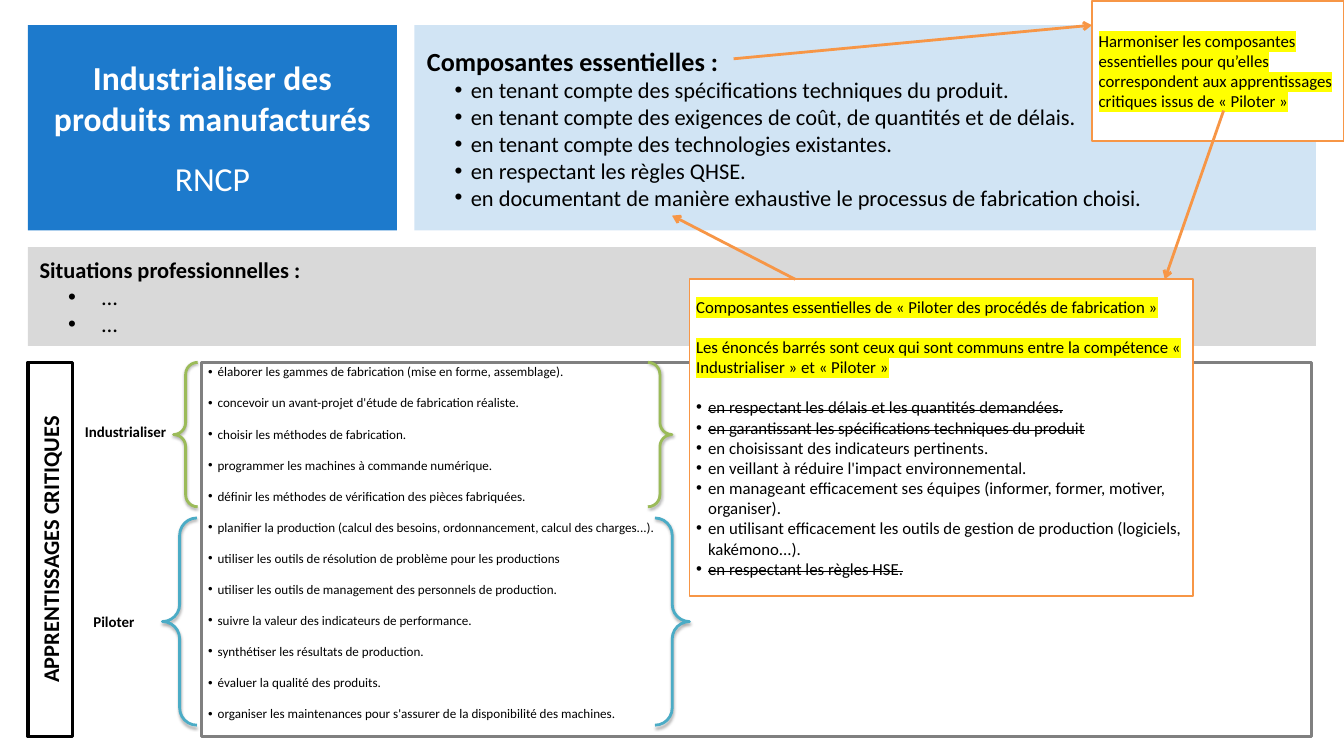
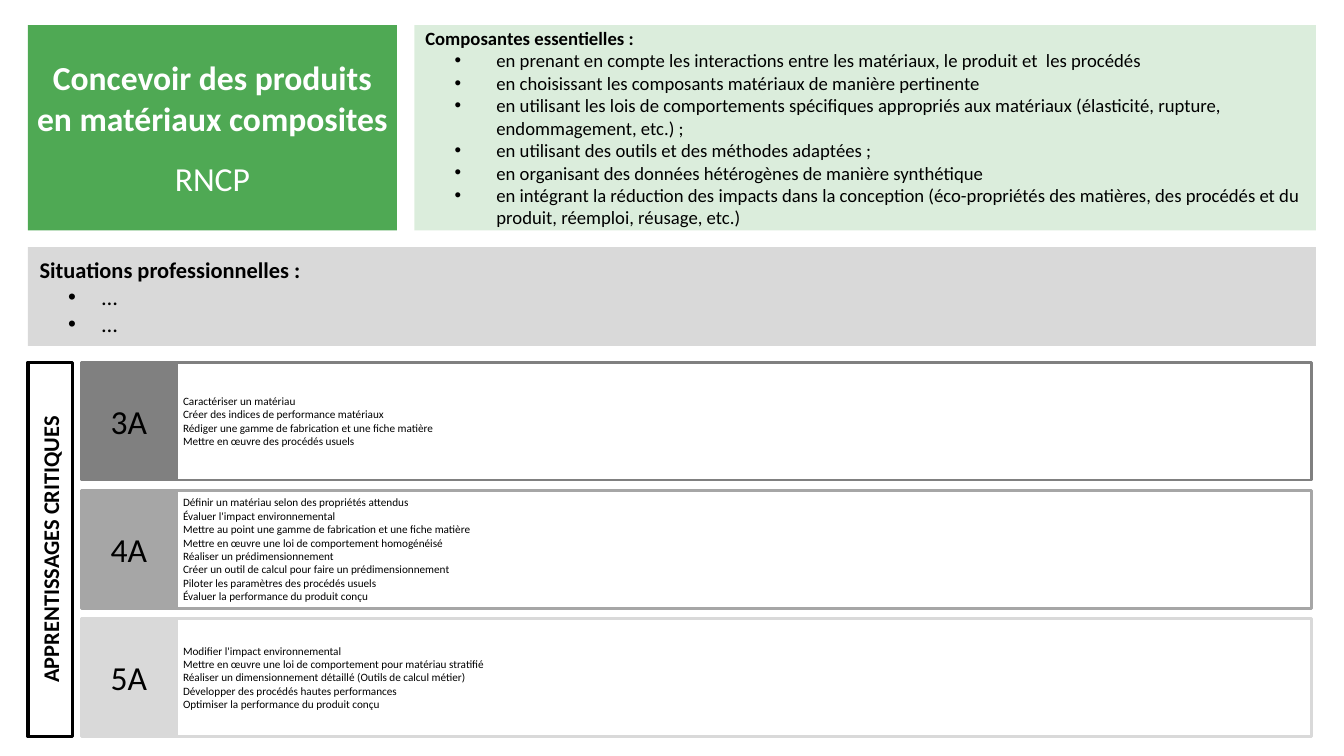
from dataclasses import dataclass, replace

from lxml import etree
from pptx import Presentation
from pptx.dml.color import RGBColor
from pptx.enum.shapes import MSO_CONNECTOR, MSO_SHAPE
from pptx.enum.text import MSO_ANCHOR, MSO_AUTO_SIZE, PP_ALIGN
from pptx.oxml.ns import qn
from pptx.util import Inches, Pt

RECTANGLE, BRACES = MSO_SHAPE.RECTANGLE, MSO_SHAPE.DOUBLE_BRACE
STRAIGHT = MSO_CONNECTOR.STRAIGHT
LEFT, CENTER = PP_ALIGN.LEFT, PP_ALIGN.CENTER
MIDDLE, TOP = MSO_ANCHOR.MIDDLE, MSO_ANCHOR.TOP
NO_AUTOFIT, GROW = MSO_AUTO_SIZE.NONE, MSO_AUTO_SIZE.SHAPE_TO_FIT_TEXT

FONT = "Calibri"
BLACK, WHITE, YELLOW, ORANGE = "000000", "FFFFFF", "FFFF00", "F79646"
BLUE, GREEN = "1D7ACC", "4FA954"
BRACE_GREEN, BRACE_BLUE = "9BBB59", "4BACC6"
DARK_GRAY, MID_GRAY, LIGHT_GRAY = "808080", "A6A6A6", "D9D9D9"

# The slide is a grid of 480 columns by 270 rows.
COLUMNS, ROWS = 480, 270
SLIDE_WIDTH, SLIDE_HEIGHT = Inches(20), Inches(11.25)
CELL = SLIDE_WIDTH // COLUMNS


@dataclass(frozen=True)
class Box:
    """A rectangle in grid cells."""
    left: float
    top: float
    width: float
    height: float

    def lengths(self) -> list[int]:
        return [round(cells * CELL) for cells in (self.left, self.top, self.width, self.height)]


@dataclass(frozen=True)
class Line:
    """A paragraph; margin and hang are in inches, sizes and gaps in points."""
    text: str
    size: float
    bold: bool = False
    color: str = BLACK
    align: PP_ALIGN = LEFT
    margin: float = 0
    hang: float = 0
    gap: float = 0
    spacing: float = 1.0
    highlight: bool = False
    strike: bool = False


@dataclass(frozen=True)
class Arrow:
    start: tuple[float, float]
    end: tuple[float, float]


@dataclass(frozen=True)
class Skill:
    title: str
    color: str
    heading_size: float
    components: list[Line]


@dataclass(frozen=True)
class Year:
    name: str
    color: str
    outcomes: list[str]


TITLE_BOX = Box(10, 9, 131.75, 73.25)
COMPONENTS_BOX = Box(148, 9, 322, 73.25)
SITUATIONS_BOX = Box(10, 88.25, 460, 35.25)
LEARNING_BAND = Box(10, 129.4, 15.85, 133.6)
LEARNING_PANEL = Box(72, 129.4, 396.5, 133.6)
YEAR_LEFT, YEAR_WIDTH, OUTCOMES_WIDTH, YEAR_GAP = 29, 34, 405.5, 3.7


def rgb(color: str) -> RGBColor:
    return RGBColor.from_string(color)


def add_xml(parent, tag: str, **attributes):
    return etree.SubElement(parent, qn(tag), attributes)


def bullets(texts: list[str], size: float, margin: float = 0, hang: float = 0,
            gap: float = 0) -> list[Line]:
    """Bulleted lines; without a hang, the text follows its bullet closely."""
    hang = hang or size / 100
    return [Line(text, size, margin=margin + hang, hang=hang, gap=gap if index else 0)
            for index, text in enumerate(texts)]


def heading(text: str, size: float) -> Line:
    return Line(text, size, bold=True, margin=size / 320)


def write(shape, lines: list[Line], anchor=MIDDLE, auto_size=NO_AUTOFIT) -> None:
    frame = shape.text_frame
    frame.word_wrap = True
    frame.auto_size = auto_size
    frame.vertical_anchor = anchor
    for index, line in enumerate(lines):
        paragraph = frame.add_paragraph() if index else frame.paragraphs[0]
        paragraph.alignment = line.align
        paragraph.line_spacing = line.spacing
        paragraph.space_before = Pt(line.gap)
        properties = paragraph._p.get_or_add_pPr()
        properties.set("marL", str(Inches(line.margin)))
        properties.set("indent", str(-Inches(line.hang)))
        if line.hang:
            add_xml(properties, "a:buFont", typeface="Arial")
            add_xml(properties, "a:buChar", char="•")
        else:
            add_xml(properties, "a:buNone")
        run = paragraph.add_run()
        run.text = line.text
        run.font.name, run.font.size, run.font.bold = FONT, Pt(line.size), line.bold
        run.font.color.rgb = rgb(line.color)
        run_properties = run._r.get_or_add_rPr()
        if line.strike:
            run_properties.set("strike", "sngStrike")
        if line.highlight:
            highlight = etree.Element(qn("a:highlight"))
            add_xml(highlight, "a:srgbClr", val=YELLOW)
            run_properties.find(qn("a:solidFill")).addnext(highlight)


def paint(shape, fill: str = "", outline: str = "", weight: float = 3, opacity: int = 100) -> None:
    shape.shadow.inherit = False
    if fill:
        shape.fill.solid()
        shape.fill.fore_color.rgb = rgb(fill)
        if opacity < 100:
            color = next(shape._element.spPr.iter(qn("a:srgbClr")))
            add_xml(color, "a:alpha", val=str(opacity * 1000))
    else:
        shape.fill.background()
    if outline:
        shape.line.color.rgb = rgb(outline)
        shape.line.width = Pt(weight)
    else:
        shape.line.fill.background()


def add_panel(slide, box: Box, lines: list[Line], fill: str = WHITE, outline: str = "",
              weight: float = 3):
    shape = slide.shapes.add_shape(RECTANGLE, *box.lengths())
    paint(shape, fill, outline, weight)
    write(shape, lines)
    return shape


def fill_placeholder(shape, box: Box, lines: list[Line], fill: str, opacity: int = 100) -> None:
    shape.left, shape.top, shape.width, shape.height = box.lengths()
    paint(shape, fill, opacity=opacity)
    write(shape, lines)


def add_braces(slide, box: Box, color: str) -> None:
    shape = slide.shapes.add_shape(BRACES, *box.lengths())
    paint(shape, outline=color)
    effects = shape._element.spPr.find(qn("a:effectLst"))
    shadow = add_xml(effects, "a:outerShdw", blurRad=str(Pt(3.1)), dist=str(Pt(1.8)),
                     dir="5400000", rotWithShape="0")
    add_xml(add_xml(shadow, "a:srgbClr", val=BLACK), "a:alpha", val="35000")


def add_arrow(slide, arrow: Arrow) -> None:
    points = [round(cells * CELL) for cells in (*arrow.start, *arrow.end)]
    connector = slide.shapes.add_connector(STRAIGHT, *points)
    connector.line.color.rgb = rgb(ORANGE)
    connector.line.width = Pt(3)
    add_xml(connector.line._get_or_add_ln(), "a:tailEnd", type="arrow")
    add_xml(connector._element.spPr, "a:effectLst")


def add_label(slide, text: str, left: float, top: float) -> None:
    label = slide.shapes.add_textbox(*Box(left, top, 36, 9).lengths())
    write(label, [Line(text, 16, bold=True)], TOP, GROW)


def add_skill_slide(presentation, skill: Skill):
    """Add a slide with the parts that every skill shares."""
    slide = presentation.slides.add_slide(presentation.slide_layouts[1])
    title, body = slide.placeholders
    title_line = Line(skill.title, 36, bold=True, color=WHITE, align=CENTER)
    fill_placeholder(title, TITLE_BOX,
                     [title_line, replace(title_line, text="RNCP", bold=False, spacing=1.5)],
                     skill.color)
    fill_placeholder(body, COMPONENTS_BOX,
                     [heading("Composantes essentielles :", skill.heading_size), *skill.components],
                     skill.color, opacity=20)
    add_panel(slide, SITUATIONS_BOX,
              [heading("Situations professionnelles :", 24),
               *bullets(["…", "…"], 24, margin=0.5, hang=0.5)], LIGHT_GRAY)
    band = LEARNING_BAND
    turned = Box(band.left + (band.width - band.height) / 2,
                 band.top + (band.height - band.width) / 2, band.height, band.width)
    learning = add_panel(slide, turned,
                         [Line("APPRENTISSAGES CRITIQUES", 24, bold=True, align=CENTER)],
                         outline=BLACK, weight=3.75)
    learning.rotation = 270
    return slide


INDUSTRIALISER = Skill("Industrialiser des produits manufacturés", BLUE, 28, bullets([
    "en tenant compte des spécifications techniques du produit.",
    "en tenant compte des exigences de coût, de quantités et de délais.",
    "en tenant compte des technologies existantes.",
    "en respectant les règles QHSE.",
    "en documentant de manière exhaustive le processus de fabrication choisi.",
], 24, margin=0.5))

CONCEVOIR = Skill("Concevoir des produits en matériaux composites", GREEN, 20, bullets([
    "en prenant en compte les interactions entre les matériaux, le produit et  les procédés",
    "en choisissant les composants matériaux de manière pertinente",
    "en utilisant les lois de comportements spécifiques appropriés aux matériaux (élasticité, "
    "rupture, endommagement, etc.) ;",
    "en utilisant des outils et des méthodes adaptées ;",
    "en organisant des données hétérogènes de manière synthétique",
    "en intégrant la réduction des impacts dans la conception (éco-propriétés des matières, "
    "des procédés et du produit, réemploi, réusage, etc.)",
], 20, margin=0.5, hang=0.62))

LEARNING = [
    "élaborer les gammes de fabrication (mise en forme, assemblage).",
    "concevoir un avant-projet d'étude de fabrication réaliste.",
    "choisir les méthodes de fabrication.",
    "programmer les machines à commande numérique.",
    "définir les méthodes de vérification des pièces fabriquées.",
    "planifier la production (calcul des besoins, ordonnancement, calcul des charges...).",
    "utiliser les outils de résolution de problème pour les productions",
    "utiliser les outils de management des personnels de production.",
    "suivre la valeur des indicateurs de performance.",
    "synthétiser les résultats de production.",
    "évaluer la qualité des produits.",
    "organiser les maintenances pour s'assurer de la disponibilité des machines.",
]

HARMONISE = [Line("Harmoniser les composantes essentielles pour qu’elles correspondent aux "
                  "apprentissages critiques issus de « Piloter »", 18, highlight=True)]
PILOTER_NOTES = [
    Line("Composantes essentielles de « Piloter des procédés de fabrication »", 18,
         highlight=True),
    Line("Les énoncés barrés sont ceux qui sont communs entre la compétence "
         "« Industrialiser » et « Piloter »", 18, gap=21.5, highlight=True),
]
PILOTER_COMPONENTS = bullets([
    "en respectant les délais et les quantités demandées.",
    "en garantissant les spécifications techniques du produit",
    "en choisissant des indicateurs pertinents.",
    "en veillant à réduire l'impact environnemental.",
    "en manageant efficacement ses équipes (informer, former, motiver, organiser).",
    "en utilisant efficacement les outils de gestion de production (logiciels, kakémono...).",
    "en respectant les règles HSE.",
], 18)
SHARED_COMPONENTS = {0, 1, 6}

ARROWS = [Arrow((284, 99.75), (240, 77)), Arrow((437, 39.5), (416, 99.75)),
          Arrow((262, 21), (390, 9))]

YEARS = [
    Year("3A", DARK_GRAY, [
        "Caractériser un matériau",
        "Créer des indices de performance matériaux",
        "Rédiger une gamme de fabrication et une fiche matière",
        "Mettre en œuvre des procédés usuels"]),
    Year("4A", MID_GRAY, [
        "Définir un matériau selon des propriétés attendus",
        "Évaluer l'impact environnemental",
        "Mettre au point une gamme de fabrication et une fiche matière",
        "Mettre en œuvre une loi de comportement homogénéisé",
        "Réaliser un prédimensionnement",
        "Créer un outil de calcul pour faire un prédimensionnement",
        "Piloter les paramètres des procédés usuels",
        "Évaluer la performance du produit conçu"]),
    Year("5A", LIGHT_GRAY, [
        "Modifier l'impact environnemental",
        "Mettre en œuvre une loi de comportement pour matériau stratifié",
        "Réaliser un dimensionnement détaillé (Outils de calcul métier)",
        "Développer des procédés hautes performances",
        "Optimiser la performance du produit conçu"]),
]


def build_industrialiser(presentation) -> None:
    slide = add_skill_slide(presentation, INDUSTRIALISER)
    panel = add_panel(slide, LEARNING_PANEL, bullets(LEARNING, 14, gap=16.5), outline=DARK_GRAY)
    panel.text_frame.margin_bottom = Inches(0.25)
    add_panel(slide, Box(390, 0.25, 90, 50), HARMONISE, outline=ORANGE, weight=2)
    components = [replace(line, strike=index in SHARED_COMPONENTS, gap=0 if index else 21.5)
                  for index, line in enumerate(PILOTER_COMPONENTS)]
    add_panel(slide, Box(246.25, 99.75, 180, 113), PILOTER_NOTES + components,
              outline=ORANGE, weight=2)
    add_braces(slide, Box(62, 129.4, 178, 51.6), BRACE_GREEN)
    add_braces(slide, Box(58, 185, 188.25, 74), BRACE_BLUE)
    add_label(slide, "Industrialiser", 28, 149.75)
    add_label(slide, "Piloter", 31, 217.75)
    for arrow in ARROWS:
        add_arrow(slide, arrow)


def build_concevoir(presentation) -> None:
    slide = add_skill_slide(presentation, CONCEVOIR)
    pitch = (LEARNING_BAND.height + YEAR_GAP) / len(YEARS)
    for index, year in enumerate(YEARS):
        name_box = Box(YEAR_LEFT, LEARNING_BAND.top + index * pitch, YEAR_WIDTH, pitch - YEAR_GAP)
        outcomes_box = replace(name_box, left=YEAR_LEFT + YEAR_WIDTH, width=OUTCOMES_WIDTH)
        add_panel(slide, outcomes_box, [Line(text, 12) for text in year.outcomes],
                  outline=year.color)
        add_panel(slide, name_box, [Line(year.name, 36, align=CENTER)], year.color, year.color)


def main() -> None:
    presentation = Presentation()
    presentation.slide_width, presentation.slide_height = SLIDE_WIDTH, SLIDE_HEIGHT
    build_industrialiser(presentation)
    build_concevoir(presentation)
    presentation.save("out.pptx")


if __name__ == "__main__":
    main()
